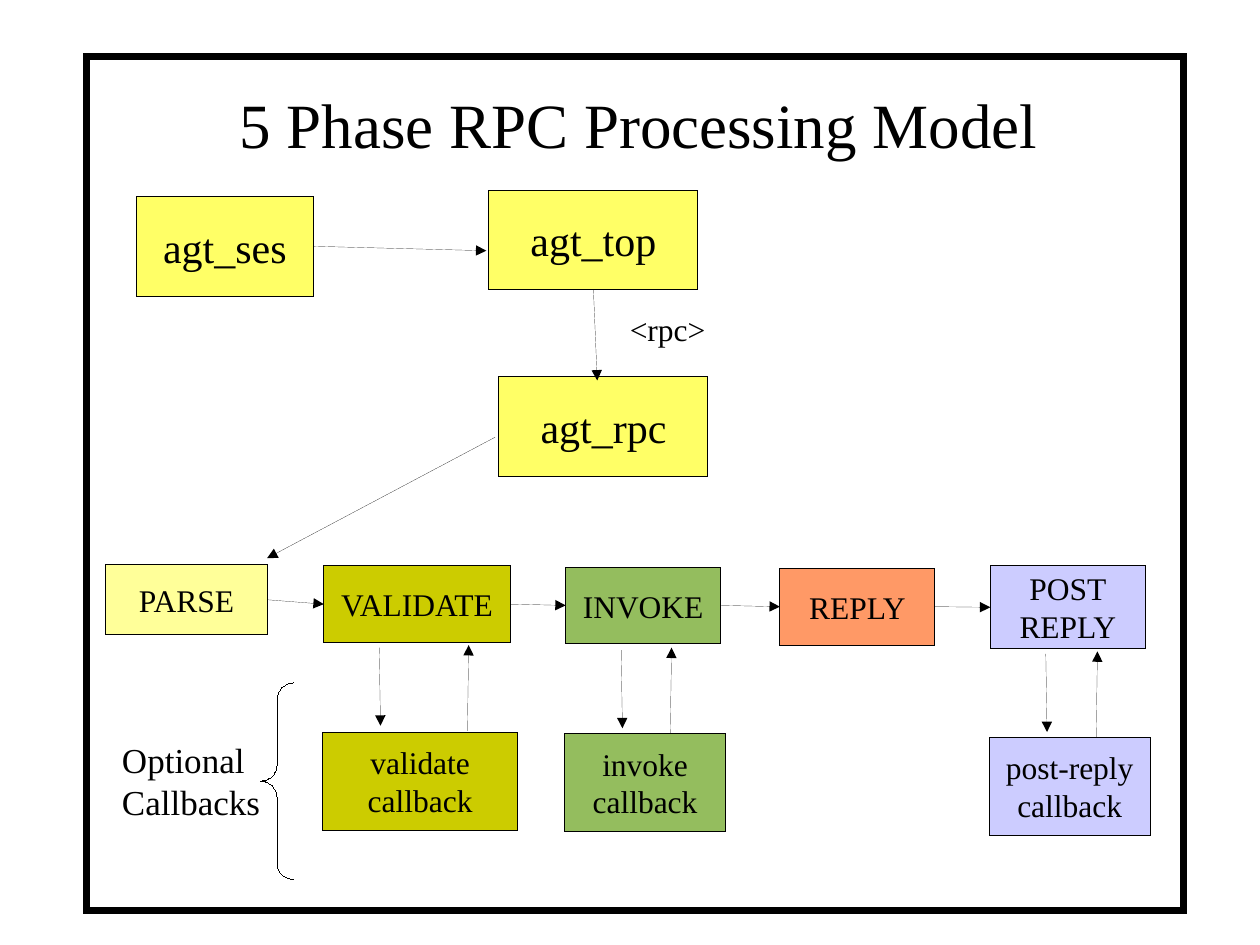
from pptx import Presentation, util as u
from pptx.dml.color import RGBColor
from pptx.enum import shapes, text
from pptx.oxml import parse_xml
from pptx.oxml.ns import nsdecls, qn

FONT = "Times New Roman"
COLORS = {
    "black": "000000", "white": "FFFFFF", "agent": "FFFF66", "parse": "FFFF99",
    "validate": "CCCC00", "invoke": "94BD5E", "reply": "FF9966", "post": "CCCCFF",
}
C = {name: RGBColor.from_string(value) for name, value in COLORS.items()}

prs = Presentation()
prs.slide_width, prs.slide_height = u.Inches(10), u.Inches(7.5)
s = prs.slides.add_slide(prs.slide_layouts[5])

# Grid of 100 columns by 75 rows
COL, ROW = prs.slide_width / 100, prs.slide_height / 75


def write(sp, words, size, align, anchor, wrap):
    tf = sp.text_frame
    tf.word_wrap = wrap
    tf.vertical_anchor = anchor
    p = tf.paragraphs[0]
    p.text = words
    p.alignment = align
    for r in p.runs:
        r.font.name, r.font.size = FONT, u.Pt(size)
        r.font.color.rgb = C["black"]


def arrow(x1, y1, x2, y2, start=None, end=None):
    line = s.shapes.add_connector(
        shapes.MSO_CONNECTOR.STRAIGHT,
        round(x1 * COL), round(y1 * ROW), round(x2 * COL), round(y2 * ROW))
    if start is not None:
        line.begin_connect(*start)
    if end is not None:
        line.end_connect(*end)
    line.line.color.rgb = C["black"]
    spPr = line._element.spPr
    ln = spPr.find(qn("a:ln"))
    ln.set("w", "0")
    ln.append(parse_xml(f'<a:tailEnd {nsdecls("a")} type="triangle"/>'))
    spPr.append(parse_xml(f'<a:effectLst {nsdecls("a")}/>'))


# Frame with square corners, placed behind the title
frame = s.shapes.add_shape(
    shapes.MSO_SHAPE.RECTANGLE,
    round(6.9 * COL), round(4.45 * ROW), round(87 * COL), round(67.8 * ROW))
frame.shadow.inherit = False
frame.fill.solid()
frame.fill.fore_color.rgb = C["white"]
frame.line.color.rgb = C["black"]
frame.line.width = u.Pt(4)
frame._element.spPr.find(qn("a:ln")).append(
    parse_xml(f'<a:miter {nsdecls("a")} lim="800000"/>'))

# Title, wide enough for one line
title = s.shapes.title
frame._element.addnext(title._element)
title.left, title.top = round(18 * COL), round(6.3 * ROW)
title.width, title.height = round(72 * COL), round(7 * ROW)
write(title, "5 Phase RPC Processing Model", 36,
      text.PP_ALIGN.LEFT, text.MSO_ANCHOR.TOP, True)

# Boxes: words, colour, text size, column, row, columns wide, rows high
BOXES = [
    ("agt_ses", "agent", 24, 10.8, 15.6, 14.1, 7.9),
    ("agt_top", "agent", 24, 38.8, 15.1, 16.6, 7.9),
    ("agt_rpc", "agent", 24, 39.6, 29.9, 16.6, 7.9),
    ("PARSE", "parse", 18, 8.4, 44.8, 12.8, 5.6),
    ("VALIDATE", "validate", 18, 25.7, 44.9, 14.8, 6.1),
    ("INVOKE", "invoke", 18, 44.9, 45, 12.3, 6.1),
    ("REPLY", "reply", 18, 61.9, 45.1, 12.3, 6.1),
    ("POST\nREPLY", "post", 18, 78.6, 44.9, 12.3, 6.6),
    ("validate\ncallback", "validate", 18, 25.6, 58.1, 15.5, 7.8),
    ("invoke\ncallback", "invoke", 18, 44.8, 58.2, 12.8, 7.8),
    ("post-reply\ncallback", "post", 18, 78.5, 58.5, 12.8, 7.8),
]
boxes = []
for words, color, size, x, y, w, h in BOXES:
    sp = s.shapes.add_shape(
        shapes.MSO_SHAPE.RECTANGLE,
        round(x * COL), round(y * ROW), round(w * COL), round(h * ROW))
    sp.shadow.inherit = False
    sp.fill.solid()
    sp.fill.fore_color.rgb = C[color]
    sp.line.color.rgb = C["black"]
    sp._element.spPr.find(qn("a:ln")).set("w", "0")
    write(sp, words, size, text.PP_ALIGN.CENTER, text.MSO_ANCHOR.MIDDLE, True)
    boxes.append(sp)
ses, top, rpc = boxes[:3]
phases = boxes[3:8]

# Arrows between the agent modules and down to the first phase
arrow(24.8, 19.8, 38.6, 19.9, start=(ses, 3))
arrow(47.3, 23.2, 47.4, 30.2, start=(top, 2))
arrow(39.3, 34.7, 21.2, 44.3)

# Arrows from each phase to the next
for left, right in zip(phases, phases[1:]):
    arrow(0, 0, 0, 0, start=(left, 3), end=(right, 1))

# Arrows to and from the callbacks: down column, up column, phase bottom
for down, up, bottom in [(30.1, 37.1, 51), (49.3, 53.2, 51.2), (83, 87, 51.5)]:
    arrow(down, bottom + 0.4, down + 0.1, bottom + 6.6)
    arrow(up, bottom + 7, up + 0.1, bottom + 0.2)

# Labels
for words, size, x, y, w, h in [
    ("<rpc>", 18, 49, 24.1, 8, 4),
    ("Optional\nCallbacks", 20, 8.7, 58.1, 13, 7.7),
]:
    label = s.shapes.add_textbox(
        round(x * COL), round(y * ROW), round(w * COL), round(h * ROW))
    write(label, words, size, text.PP_ALIGN.LEFT, text.MSO_ANCHOR.TOP, False)

# Brace beside the callbacks
brace = s.shapes.add_shape(
    shapes.MSO_SHAPE.LEFT_BRACE,
    round(20.7 * COL), round(54.2 * ROW), round(2.6 * COL), round(15.6 * ROW))
brace.adjustments[0] = 0.5
brace.shadow.inherit = False
brace.fill.background()
brace.line.color.rgb = C["black"]
brace._element.spPr.find(qn("a:ln")).set("w", "0")

prs.save("out.pptx")
